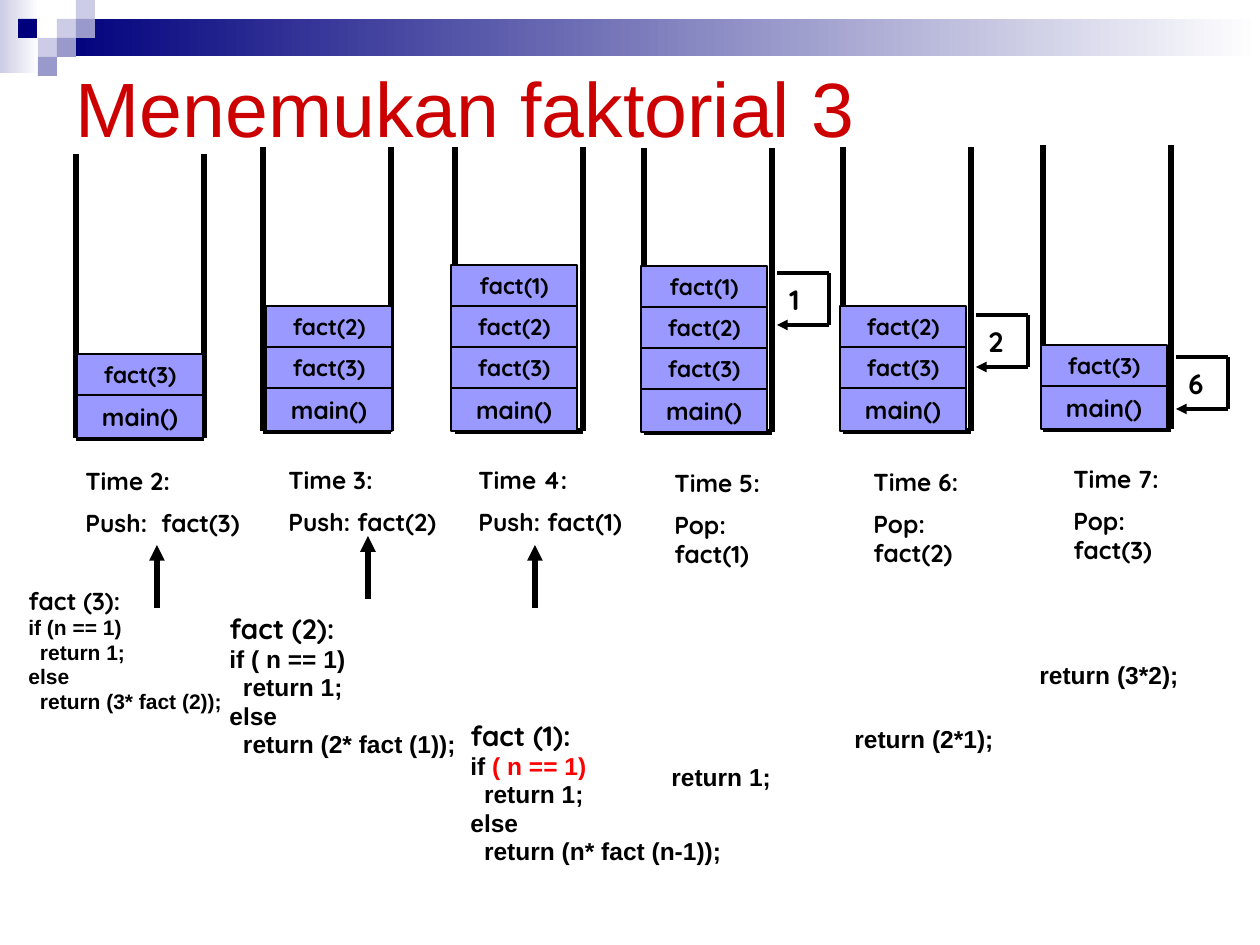
from pptx import Presentation
from pptx.dml.color import RGBColor as RGB
from pptx.enum.shapes import MSO_CONNECTOR as Conn, MSO_SHAPE as Shape
from pptx.enum.text import MSO_ANCHOR as Anchor, PP_ALIGN as Align
from pptx.oxml.ns import qn
from pptx.util import Pt
from lxml.etree import SubElement

PX = 914400 / 126
HEX = {
    "black": "000000", "white": "FFFFFF", "title": "CC0000", "red": "FF0000",
    "box": "9999FF", "navy": "00007D", "pale": "CCCCE6", "mid": "9999CC",
}
DISPLAY, BODY = "Quicksand", "Arial"
DEPTH, SPAN, CELL, BASE = 284, 128, 41, 43

STACKS = [
    (76, 154, 77, ["main()", "fact(3)"]),
    (263, 147, 266, ["main()", "fact(3)", "fact(2)"]),
    (455, 147, 451, ["main()", "fact(3)", "fact(2)", "fact(1)"]),
    (644, 148, 641, ["main()", "fact(3)", "fact(2)", "fact(1)"]),
    (843, 147, 840, ["main()", "fact(3)", "fact(2)"]),
    (1043, 145, 1041, ["main()", "fact(3)"]),
]
LABELS = [
    (73, 460, 203, "Time 2:", "Push:  fact(3)"),
    (276, 459, 174, "Time 3:", "Push: fact(2)"),
    (466, 459, 174, "Time 4:", "Push: fact(1)"),
    (662, 462, 144, "Time 5:", "Pop: fact(1)"),
    (861, 461, 144, "Time 6:", "Pop: fact(2)"),
    (1061, 458, 144, "Time 7:", "Pop: fact(3)"),
]
CALLS = [
    (16, 580, 239, 183, 14, 12, "fact (3):", [("if (n == 1)", "black")], "  return (3* fact (2));"),
    (217, 605, 286, 204, 16, 14, "fact (2):", [("if ( n == 1)", "black")], "  return (2* fact (1));"),
    (458, 712, 286, 204, 16, 14, "fact (1):", [("if ", "black"), ("( n == 1)", "red")],
     "  return (n* fact (n-1));"),
]
PUSHES = [(157, 608, 545), (368, 599, 536), (535, 608, 545)]
POPS = [(777, 273, "1"), (976, 315, "2"), (1176, 357, "6")]
RETURNS = [(842, 723, "return (2*1);"), (659, 761, "return 1;"), (1027, 659, "return (3*2);")]
SQUARES = [
    (57, 19, "pale"), (76, 0, "pale"), (76, 19, "mid"), (38, 38, "pale"),
    (18, 19, "navy"), (57, 38, "mid"), (38, 57, "mid"),
]


def emu(*vals):
    return [round(v * PX) for v in vals]


def color(name):
    return RGB.from_string(HEX[name])


def add_run(para, text, size, font=DISPLAY, tint="black", bold=True):
    run = para.add_run()
    run.text = text
    run.font.size = Pt(size)
    run.font.name = font
    run.font.bold = bold
    run.font.color.rgb = color(tint)


def add_rect(slide, x, y, w, h):
    rect = slide.shapes.add_shape(Shape.RECTANGLE, *emu(x, y, w, h))
    rect.shadow.inherit = False
    rect.line.fill.background()
    return rect


def add_fade(slide, x, y, w, h, start):
    fill = add_rect(slide, x, y, w, h).fill
    fill.gradient()
    fill.gradient_angle = 0
    for stop, name in zip(fill.gradient_stops, (start, "white")):
        stop.color.rgb = color(name)


def add_line(slide, x1, y1, x2, y2, width, arrow=False):
    line = slide.shapes.add_connector(Conn.STRAIGHT, *emu(x1, y1, x2, y2))
    line.line.width = Pt(width)
    line.line.color.rgb = color("black")
    if arrow:
        SubElement(line.line._get_or_add_ln(), qn("a:tailEnd"), type="triangle")
    SubElement(line._element.spPr, qn("a:effectLst"))


def add_text(slide, x, y, w, h, paras):
    frame = slide.shapes.add_textbox(*emu(x, y, w, h)).text_frame
    frame.word_wrap = True
    for i, (runs, before, space) in enumerate(paras):
        para = frame.add_paragraph() if i else frame.paragraphs[0]
        para.space_before = Pt(before if i else 0)
        para.line_spacing = space
        for run in runs:
            add_run(para, *run)


def add_title(slide, text):
    title = slide.shapes.title
    title.left, title.top, title.width, title.height = emu(63, 63, 1134, 88)
    frame = title.text_frame
    frame.word_wrap = True
    frame.vertical_anchor = Anchor.MIDDLE
    para = frame.paragraphs[0]
    para.alignment = Align.LEFT
    add_run(para, text, 44, BODY, "title", False)


def add_decor(slide):
    add_fade(slide, 0, 0, 39, 73, "pale")
    add_fade(slide, 57, 19, 1203, 37, "navy")
    for x, y, name in SQUARES:
        fill = add_rect(slide, x, y, 19, 19).fill
        fill.solid()
        fill.fore_color.rgb = color(name)


def add_cell(slide, x, y, h, text, size):
    cell = add_rect(slide, x, y, 126, h)
    cell.fill.solid()
    cell.fill.fore_color.rgb = color("box")
    cell.line.color.rgb = color("black")
    cell.line.width = Pt(0.75)
    frame = cell.text_frame
    frame.vertical_anchor = Anchor.MIDDLE
    para = frame.paragraphs[0]
    para.alignment = Align.CENTER
    add_run(para, text, size)


def add_stack(slide, x, top, left, names):
    low, right = top + DEPTH, x + SPAN
    add_line(slide, x, top, x, low, 3)
    add_line(slide, x, low, right, low, 3)
    add_line(slide, right, low, right, top, 3)
    floor = low - BASE
    for i, name in enumerate(names):
        add_cell(slide, left, floor - CELL * i, CELL if i else BASE, name, 13 if i else 14)


def add_call(slide, x, y, w, h, head, size, name, test, last):
    rows = [test] + [[(text, "black")] for text in ("  return 1;", "else", last)]
    paras = [([(name, head)], 0, 1.0)]
    for row in rows:
        runs = [(text, size, BODY, tint) for text, tint in row]
        paras.append((runs, size * 0.2, 0.8))
    add_text(slide, x, y, w, h, paras)


def add_pop(slide, x, y, value):
    right, low = x + 52, y + 52
    add_line(slide, x, y, right, y, 2)
    add_line(slide, right, y, right, low, 2)
    add_line(slide, right, low, x, low, 2, True)
    add_text(slide, x, y + 3, 40, 47, [([(value, 16)], 0, 1.0)])


def main():
    deck = Presentation()
    deck.slide_width, deck.slide_height = emu(1260, 945)
    slide = deck.slides.add_slide(deck.slide_layouts[5])
    add_decor(slide)
    add_title(slide, "Menemukan faktorial 3")
    for stack in STACKS:
        add_stack(slide, *stack)
    for x, y, w, time, step in LABELS:
        add_text(slide, x, y, w, 86, [([(time, 14)], 0, 1.0), ([(step, 14)], 7, 1.0)])
    for call in CALLS:
        add_call(slide, *call)
    for x, low, top in PUSHES:
        add_line(slide, x, low, x, top, 3, True)
    for pop in POPS:
        add_pop(slide, *pop)
    for x, y, text in RETURNS:
        add_text(slide, x, y, 175, 74, [([(text, 14, BODY)], 0, 0.8)])
    deck.save("out.pptx")


if __name__ == "__main__":
    main()
